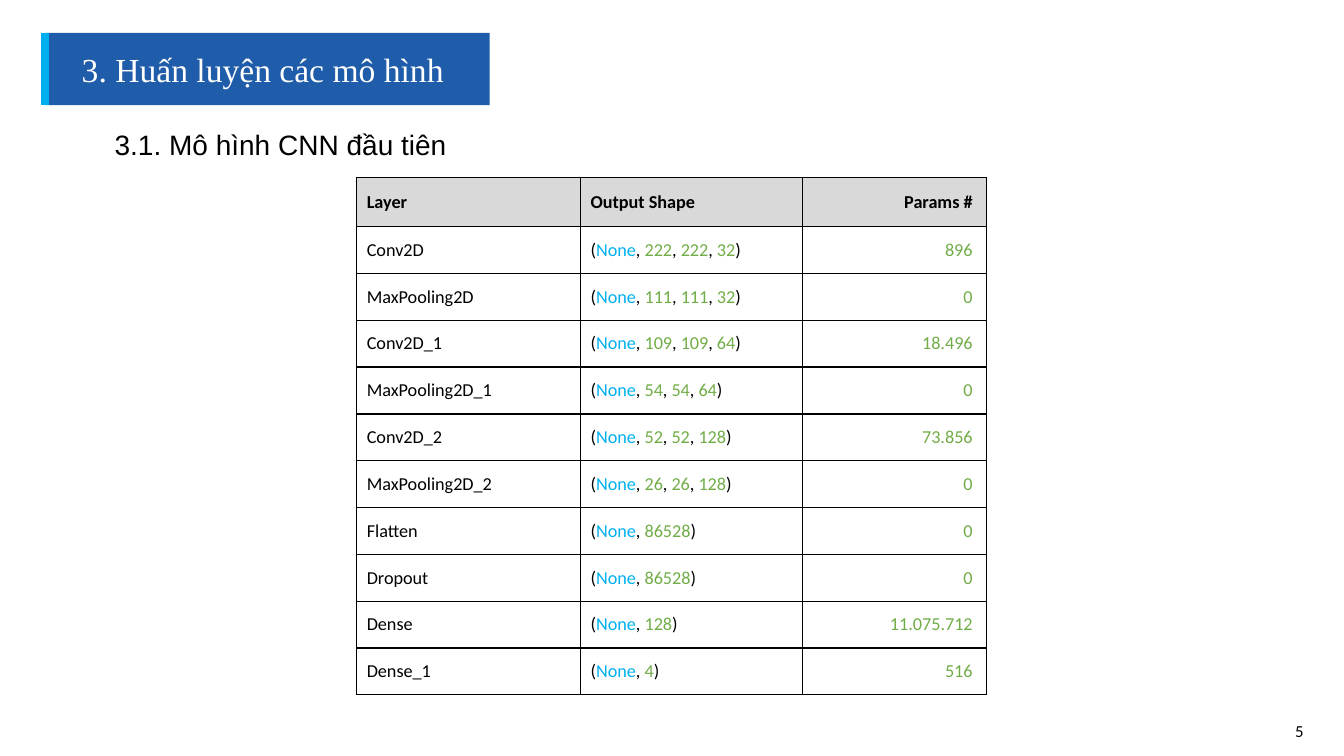
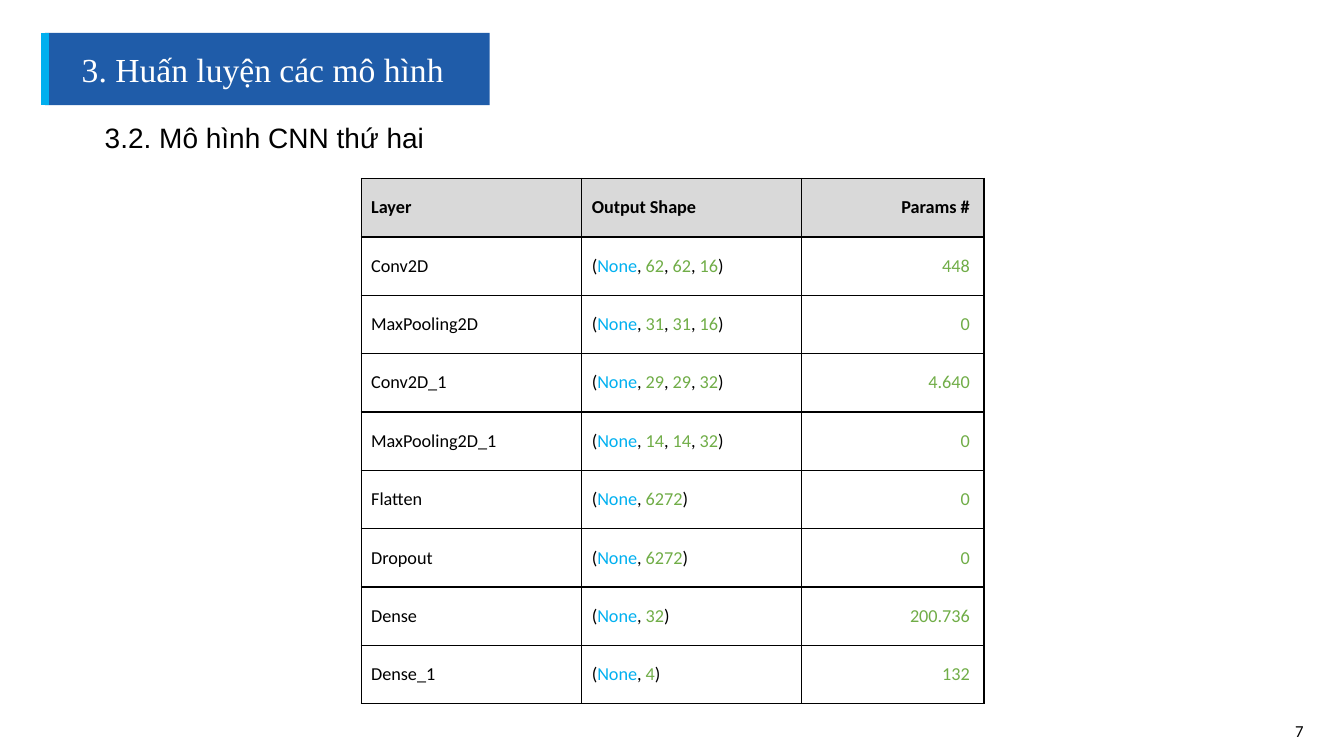
import lxml.etree
import pptx
import pptx.dml.color
import pptx.enum.shapes
import pptx.enum.text
import pptx.oxml.ns
import pptx.util

Cm = pptx.util.Cm
Pt = pptx.util.Pt
RGBColor = pptx.dml.color.RGBColor
ALIGN = pptx.enum.text.PP_ALIGN
MIDDLE = pptx.enum.text.MSO_ANCHOR.MIDDLE
qn = pptx.oxml.ns.qn

# Shared colours
BLUE = RGBColor(0x1F, 0x5C, 0xA9)
CYAN = RGBColor(0x00, 0xAF, 0xEF)
SKY = RGBColor(0x00, 0xB0, 0xF0)
GREEN = RGBColor(0x70, 0xAD, 0x47)
GREY = RGBColor(0xD9, 0xD9, 0xD9)
BLACK = RGBColor(0x00, 0x00, 0x00)
WHITE = RGBColor(0xFF, 0xFF, 0xFF)

# Shared title band
TITLE = "3. Huấn luyện các mô hình"
LEFT, TOP, WIDE, HIGH = Cm(1.14), Cm(0.83), Cm(11.2), Cm(1.82)
HEADS = ("Layer", "Output Shape", "Params #")

# What differs from slide to slide
PAGES = [
    {
        "page": "5",
        "head": "3.1. Mô hình CNN đầu tiên",
        "spot": (Cm(2.64), Cm(3.1)),
        "table": (Cm(8.99), Cm(4.47)),
        "cols": (Cm(5.64), Cm(5.59), Cm(4.65)),
        "rows": (Cm(1.24), Cm(1.18)),
        "data": [
            ("Conv2D", (222, 222, 32), "896"),
            ("MaxPooling2D", (111, 111, 32), "0"),
            ("Conv2D_1", (109, 109, 64), "18.496"),
            ("MaxPooling2D_1", (54, 54, 64), "0"),
            ("Conv2D_2", (52, 52, 128), "73.856"),
            ("MaxPooling2D_2", (26, 26, 128), "0"),
            ("Flatten", (86528,), "0"),
            ("Dropout", (86528,), "0"),
            ("Dense", (128,), "11.075.712"),
            ("Dense_1", (4,), "516"),
        ],
    },
    {
        "page": "7",
        "head": "3.2. Mô hình CNN thứ hai",
        "spot": (Cm(2.39), Cm(2.92)),
        "table": (Cm(9.1), Cm(4.5)),
        "cols": (Cm(5.56), Cm(5.54), Cm(4.6)),
        "rows": (Cm(1.47), Cm(1.47)),
        "data": [
            ("Conv2D", (62, 62, 16), "448"),
            ("MaxPooling2D", (31, 31, 16), "0"),
            ("Conv2D_1", (29, 29, 32), "4.640"),
            ("MaxPooling2D_1", (14, 14, 32), "0"),
            ("Flatten", (6272,), "0"),
            ("Dropout", (6272,), "0"),
            ("Dense", (32,), "200.736"),
            ("Dense_1", (4,), "132"),
        ],
    },
]


def write(para, parts, face, size, bold=False):
    """Add one run for each (text, colour) pair."""
    for text, color in parts:
        run = para.add_run()
        run.text = text
        run.font.name = face
        run.font.size = Pt(size)
        run.font.bold = bold
        run.font.color.rgb = color


def border(cell):
    """Draw a thin black line on all four sides, ahead of the fill."""
    props = cell._tc.get_or_add_tcPr()
    for spot, side in enumerate(("a:lnL", "a:lnR", "a:lnT", "a:lnB")):
        line = lxml.etree.Element(qn(side), w=str(Pt(1)))
        fill = lxml.etree.SubElement(line, qn("a:solidFill"))
        lxml.etree.SubElement(fill, qn("a:srgbClr"), val=str(BLACK))
        props.insert(spot, line)


deck = pptx.Presentation()
deck.slide_width = Cm(33.87)
deck.slide_height = Cm(19.05)

for page in PAGES:
    slide = deck.slides.add_slide(deck.slide_layouts[5])
    shapes = slide.shapes

    # Title band
    title = shapes.title
    title.left, title.top, title.width, title.height = LEFT, TOP, WIDE, HIGH
    title.fill.solid()
    title.fill.fore_color.rgb = BLUE
    frame = title.text_frame
    frame.margin_left = Cm(0.92)
    frame.vertical_anchor = MIDDLE
    frame.auto_size = pptx.enum.text.MSO_AUTO_SIZE.NONE
    frame.paragraphs[0].alignment = ALIGN.LEFT
    write(frame.paragraphs[0], [(TITLE, WHITE)], "Times New Roman", 24)

    # Stripe on the left edge of the band
    stripe = shapes.add_connector(
        pptx.enum.shapes.MSO_CONNECTOR.STRAIGHT, LEFT, TOP, LEFT, TOP + HIGH)
    stripe.line.color.rgb = CYAN
    stripe.line.width = Pt(6)
    lxml.etree.SubElement(stripe._element.spPr, qn("a:effectLst"))

    # Section heading
    box = shapes.add_textbox(*page["spot"], Cm(9.3), Cm(1.12))
    box.text_frame.word_wrap = True
    write(box.text_frame.paragraphs[0], [(page["head"], BLACK)], "Arial", 20)

    # Layer table
    data, cols = page["data"], page["cols"]
    first, rest = page["rows"]
    table = shapes.add_table(
        len(data) + 1, len(cols), *page["table"],
        sum(cols), first + rest * len(data)).table
    table.first_row = False
    table.horz_banding = False
    for col, width in zip(table.columns, cols):
        col.width = width
    for row in table.rows:
        row.height = rest
    table.rows[0].height = first

    lines = [[[(head, BLACK)] for head in HEADS]]
    for layer, sizes, count in data:
        shape = [("(", BLACK), ("None", SKY)]
        for size in sizes:
            shape += [(", ", BLACK), (str(size), GREEN)]
        shape.append((")", BLACK))
        lines.append([[(layer, BLACK)], shape, [(count, GREEN)]])

    for r, line in enumerate(lines):
        for c, parts in enumerate(line):
            cell = table.cell(r, c)
            cell.vertical_anchor = MIDDLE
            if r == 0:
                cell.fill.solid()
                cell.fill.fore_color.rgb = GREY
            else:
                cell.fill.background()
            border(cell)
            para = cell.text_frame.paragraphs[0]
            if c == 2:
                para.alignment = ALIGN.RIGHT
                cell.margin_right = Cm(0.36)
            write(para, parts, "Calibri", 13, bold=r == 0)

    # Page number
    box = shapes.add_textbox(Cm(32.39), Cm(18.03), Cm(0.74), Cm(0.77))
    box.text_frame.word_wrap = False
    write(box.text_frame.paragraphs[0], [(page["page"], BLACK)], "Calibri", 12)

deck.save("out.pptx")
